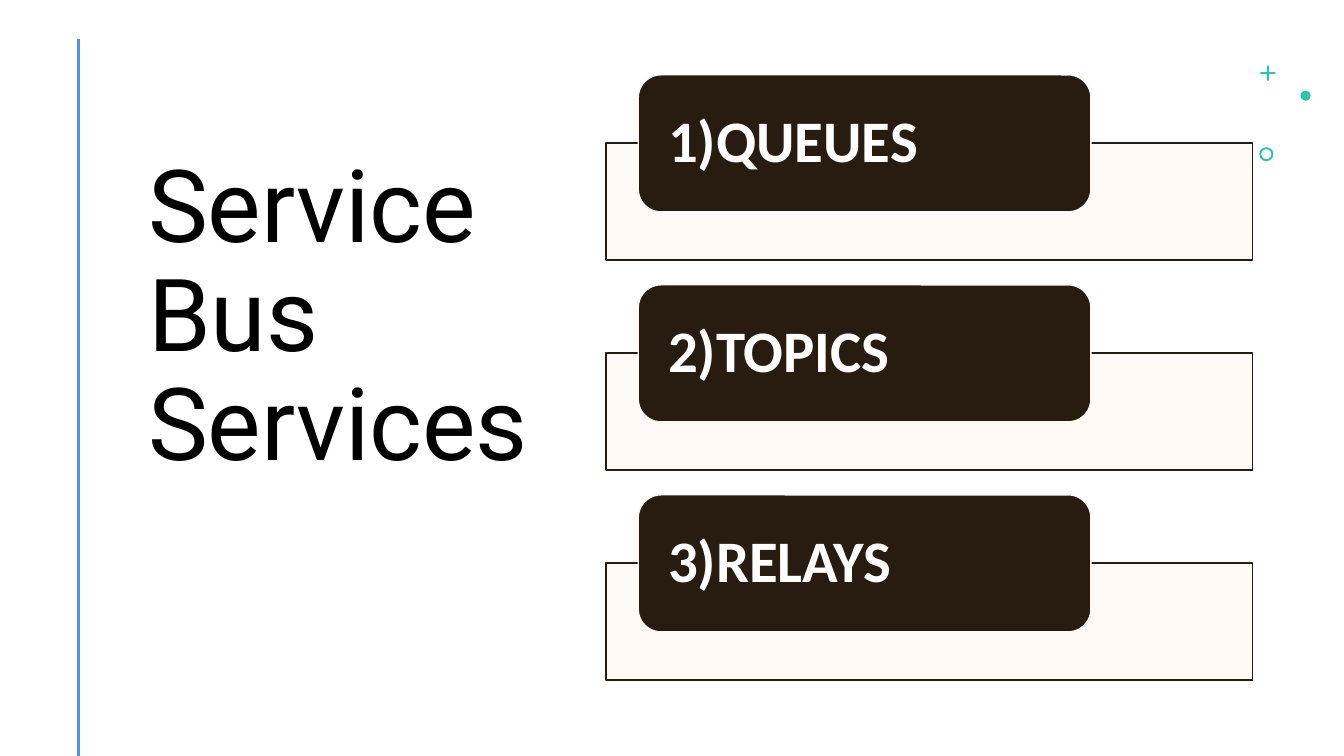
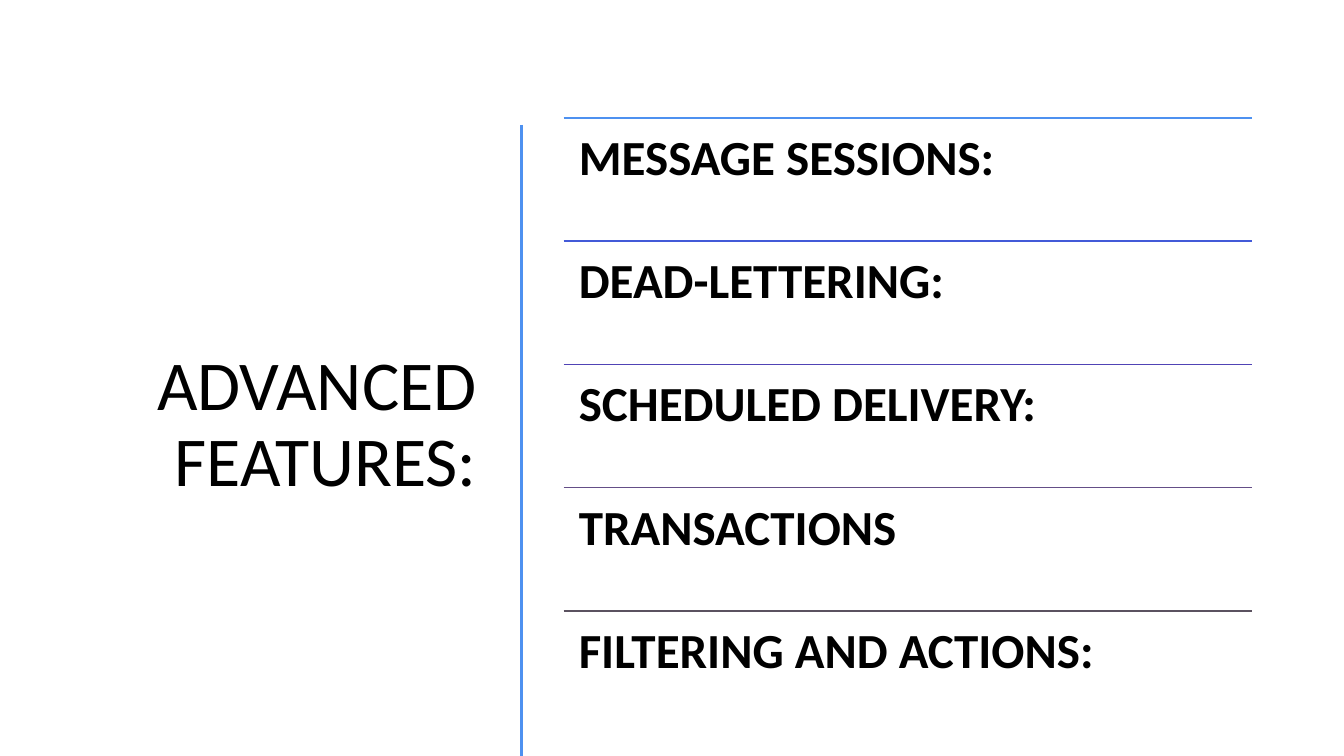
"""Build two slides on the services and advanced features of a service bus."""
from dataclasses import dataclass

from lxml import etree
from pptx import Presentation
from pptx.dml.color import RGBColor
from pptx.enum.shapes import MSO_CONNECTOR, MSO_SHAPE
from pptx.enum.text import MSO_ANCHOR, PP_ALIGN
from pptx.oxml.ns import qn
from pptx.shapes.autoshape import Shape
from pptx.slide import Slide
from pptx.util import Inches, Pt

RECTANGLE = MSO_SHAPE.RECTANGLE
ROUNDED = MSO_SHAPE.ROUNDED_RECTANGLE
CROSS, OVAL, DONUT = MSO_SHAPE.CROSS, MSO_SHAPE.OVAL, MSO_SHAPE.DONUT
STRAIGHT = MSO_CONNECTOR.STRAIGHT
TOP, MIDDLE = MSO_ANCHOR.TOP, MSO_ANCHOR.MIDDLE
LEFT, RIGHT = PP_ALIGN.LEFT, PP_ALIGN.RIGHT

SLIDE_WIDTH, SLIDE_HEIGHT = Inches(13.33), Inches(7.5)
BLANK_LAYOUT = 6

BLACK = RGBColor(0x00, 0x00, 0x00)
WHITE = RGBColor(0xFF, 0xFF, 0xFF)
BROWN = RGBColor(0x28, 0x1B, 0x10)
CREAM = RGBColor(0xFF, 0xF9, 0xF5)
TEAL = RGBColor(0x2C, 0xC3, 0xB4)
BLUE = RGBColor(0x4E, 0x91, 0xF0)
INDIGO = RGBColor(0x43, 0x5A, 0xD8)
VIOLET = RGBColor(0x50, 0x43, 0xB5)
PLUM = RGBColor(0x64, 0x4E, 0x87)
GREY = RGBColor(0x5B, 0x52, 0x60)

BODY_FONT, DISPLAY_FONT = "Calibri", "Roboto"
LINE_SPACING = 0.9


@dataclass(frozen=True)
class Area:
    """A rectangle in percent of the slide's width and height."""
    left: float
    top: float
    width: float
    height: float

    def lengths(self) -> tuple[int, int, int, int]:
        """Return left, top, width and height in slide units."""
        return (across(self.left), down(self.top),
                across(self.width), down(self.height))

    def row(self, index: int, pitch: float) -> "Area":
        """Return this area moved down by whole rows."""
        return Area(self.left, self.top + index * pitch, self.width, self.height)


@dataclass(frozen=True)
class TextStyle:
    """How one kind of text is set; insets are in inches."""
    font: str
    size: int
    colour: RGBColor
    bold: bool = False
    align: PP_ALIGN = LEFT
    anchor: MSO_ANCHOR = MIDDLE
    inset_x: float = 0.1
    inset_y: float = 0.05


@dataclass(frozen=True)
class Ornament:
    """A small preset shape with its place and optional adjustment."""
    preset: MSO_SHAPE
    area: Area
    adjustment: float | None = None


@dataclass(frozen=True)
class Feature:
    """A feature name and the colour of the line above it."""
    name: str
    colour: RGBColor


DISPLAY_TITLE = TextStyle(DISPLAY_FONT, 72, BLACK)
PLAIN_TITLE = TextStyle(BODY_FONT, 50, BLACK, align=RIGHT)
TAB_TEXT = TextStyle(BODY_FONT, 42, WHITE, bold=True, inset_x=0.23, inset_y=0)
FEATURE_TEXT = TextStyle(BODY_FONT, 35, BLACK, bold=True, anchor=TOP,
                         inset_x=0.15, inset_y=0.15)

SERVICES = ("1)QUEUES", "2)TOPICS", "3)RELAYS")
SERVICE_PITCH = 27.78
PANEL = Area(45.09, 18.93, 48.09, 15.47)
TAB = Area(47.49, 9.9, 33.68, 18.13)
PANEL_OPACITY = 90

FEATURES = (
    Feature("MESSAGE SESSIONS:", BLUE),
    Feature("DEAD-LETTERING:", INDIGO),
    Feature("SCHEDULED DELIVERY:", VIOLET),
    Feature("TRANSACTIONS", PLUM),
    Feature("FILTERING AND ACTIONS:", GREY),
)
FEATURE_PITCH = 16.3
FEATURE_ROW = Area(41.94, 15.6, 51.24, FEATURE_PITCH)

ORNAMENTS = (
    Ornament(CROSS, Area(93.77, 8.67, 1.13, 2), 0.43),
    Ornament(OVAL, Area(96.77, 12, 0.75, 1.33)),
    Ornament(DONUT, Area(93.7, 19.47, 1.05, 1.87), 0.14),
)


def across(percent: float) -> int:
    """Convert a share of the slide's width to a length."""
    return round(SLIDE_WIDTH * percent / 100)


def down(percent: float) -> int:
    """Convert a share of the slide's height to a length."""
    return round(SLIDE_HEIGHT * percent / 100)


def write(box: Shape, text: str, style: TextStyle) -> None:
    """Set one paragraph of styled text in a box."""
    frame = box.text_frame
    frame.word_wrap = True
    frame.vertical_anchor = style.anchor
    frame.margin_left = frame.margin_right = Inches(style.inset_x)
    frame.margin_top = frame.margin_bottom = Inches(style.inset_y)
    para = frame.paragraphs[0]
    para.text = text
    para.alignment = style.align
    para.line_spacing = LINE_SPACING
    para.font.name = style.font
    para.font.size = Pt(style.size)
    para.font.bold = style.bold
    para.font.color.rgb = style.colour


def add_text(page: Slide, area: Area, text: str, style: TextStyle) -> None:
    """Add a text box."""
    write(page.shapes.add_textbox(*area.lengths()), text, style)


def add_preset(page: Slide, preset: MSO_SHAPE, area: Area, fill: RGBColor,
               outline: RGBColor | None = None) -> Shape:
    """Add a flat preset shape with an optional thin outline."""
    shape = page.shapes.add_shape(preset, *area.lengths())
    shape.shadow.inherit = False
    shape.fill.solid()
    shape.fill.fore_color.rgb = fill
    if outline is None:
        shape.line.fill.background()
    else:
        shape.line.color.rgb = outline
        shape.line.width = Pt(1)
    return shape


def set_opacity(shape: Shape, percent: int) -> None:
    """Make a solid fill partly transparent."""
    colour = shape.fill._xPr.find(qn("a:solidFill"))[0]
    etree.SubElement(colour, qn("a:alpha"), val=str(percent * 1000))


def add_line(page: Slide, line: Area, colour: RGBColor, points: float) -> None:
    """Add a straight line along an area of no width or no height."""
    left, top, width, height = line.lengths()
    connector = page.shapes.add_connector(
        STRAIGHT, left, top, left + width, top + height)
    connector.line.color.rgb = colour
    connector.line.width = Pt(points)
    etree.SubElement(connector._element.spPr, qn("a:effectLst"))


def add_titled_page(deck: Presentation, title: str, area: Area,
                    style: TextStyle, rule_left: float, rule_top: float) -> Slide:
    """Add a page with a title and a vertical rule down to its foot."""
    page = deck.slides.add_slide(deck.slide_layouts[BLANK_LAYOUT])
    add_text(page, area, title, style)
    add_line(page, Area(rule_left, rule_top, 0, 100 - rule_top), BLUE, 2)
    return page


def build_services(deck: Presentation) -> None:
    """Build the page of services."""
    page = add_titled_page(deck, "Service Bus Services",
                           Area(10.28, 8.67, 32.33, 67.07), DISPLAY_TITLE, 5.85, 5.2)
    for ornament in ORNAMENTS:
        shape = add_preset(page, ornament.preset, ornament.area, TEAL)
        if ornament.adjustment is not None:
            shape.adjustments[0] = ornament.adjustment
    for index, service in enumerate(SERVICES):
        panel = add_preset(page, RECTANGLE, PANEL.row(index, SERVICE_PITCH),
                           CREAM, BROWN)
        set_opacity(panel, PANEL_OPACITY)
        tab = add_preset(page, ROUNDED, TAB.row(index, SERVICE_PITCH),
                         BROWN, CREAM)
        write(tab, service, TAB_TEXT)


def build_features(deck: Presentation) -> None:
    """Build the page of advanced features."""
    page = add_titled_page(deck, "ADVANCED FEATURES:",
                           Area(3.9, 15.6, 32.33, 81.47), PLAIN_TITLE, 38.78, 16.53)
    for index, feature in enumerate(FEATURES):
        row = FEATURE_ROW.row(index, FEATURE_PITCH)
        add_line(page, Area(row.left, row.top, row.width, 0), feature.colour, 1)
        add_text(page, row, feature.name, FEATURE_TEXT)


def main() -> None:
    """Build and save the deck."""
    deck = Presentation()
    deck.slide_width, deck.slide_height = SLIDE_WIDTH, SLIDE_HEIGHT
    build_services(deck)
    build_features(deck)
    deck.save("out.pptx")


if __name__ == "__main__":
    main()
